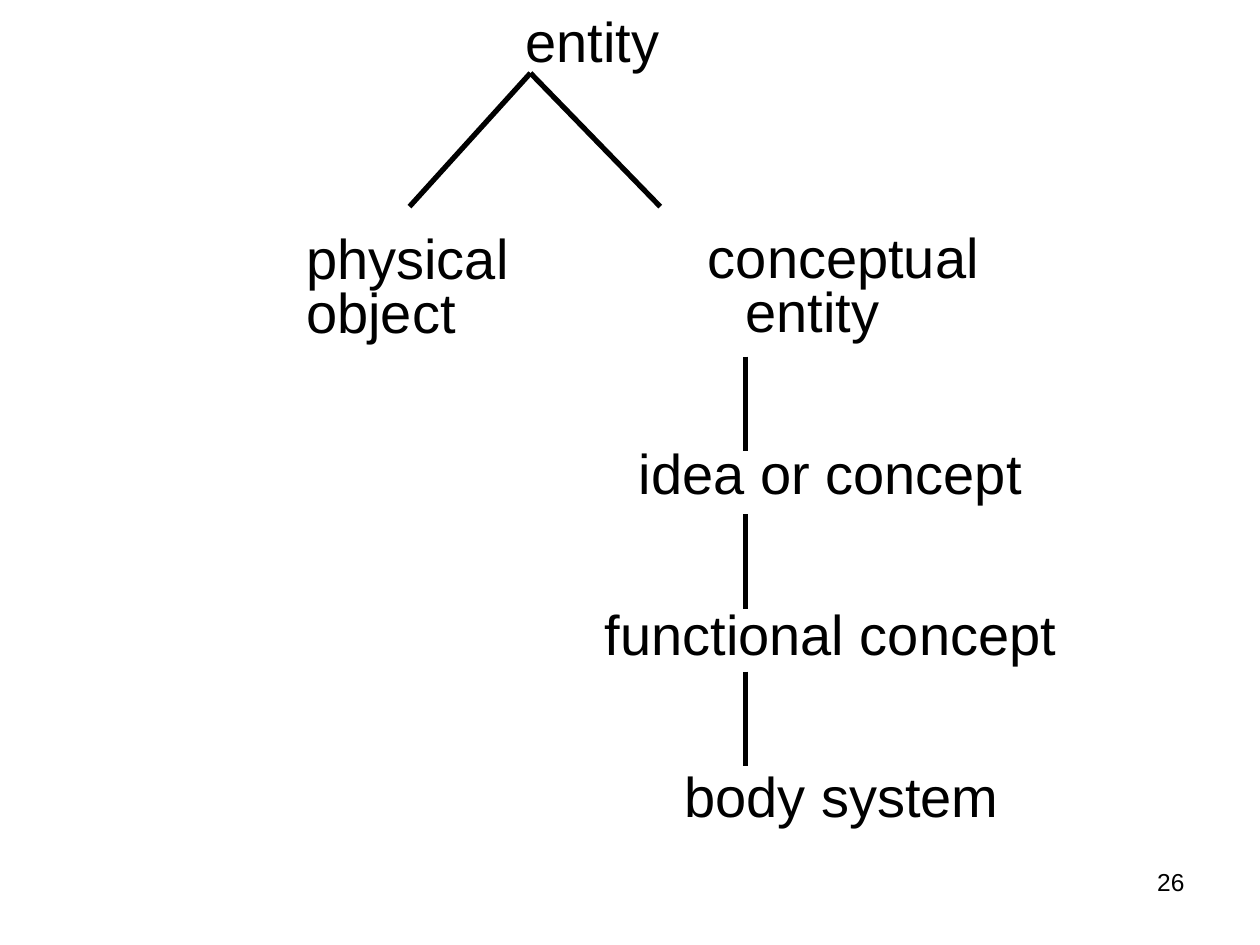
from typing import NamedTuple

from lxml import etree
from pptx import Presentation
from pptx.dml.color import RGBColor
from pptx.enum.shapes import MSO_CONNECTOR
from pptx.enum.text import MSO_ANCHOR, MSO_AUTO_SIZE, PP_ALIGN
from pptx.oxml.ns import qn
from pptx.util import Inches, Pt

STRAIGHT = MSO_CONNECTOR.STRAIGHT
TOP = MSO_ANCHOR.TOP
NO_FIT = MSO_AUTO_SIZE.NONE
LEFT, RIGHT = PP_ALIGN.LEFT, PP_ALIGN.RIGHT
BLACK = "000000"
FONT = "Arial"


class Level(NamedTuple):
    """One line of the tree: text, indent in inches, space before in points."""
    text: str
    indent: float
    gap: float = 0
    lead: float = 0.8


class Edge(NamedTuple):
    x1: float
    y1: float
    x2: float
    y2: float
    width: float


TREE = [
    Level("entity", 3.49, lead=1),
    Level("physical", 1.75, 93),
    Level("object", 1.75),
    Level("idea or concept", 4.39, 61.5),
    Level("functional concept", 4.12, 61.5),
    Level("body system", 4.75, 61.5),
]
BRANCH = [Level("conceptual", 0), Level("entity", 0.3)]
FORK = [Edge(4.21, 0.58, x, 1.64, 3) for x in (5.24, 3.25)]
STEMS = [Edge(5.92, 2.83 + 1.25 * i, 5.92, 3.58 + 1.25 * i, 2.75)
         for i in range(3)]


def color(code: str) -> RGBColor:
    return RGBColor.from_string(code)


def write(para, text: str, *, size: float, align=LEFT, gap: float = 0,
          lead: float = 1, code: str = BLACK) -> None:
    para.alignment = align
    para.space_before = Pt(gap)
    para.line_spacing = lead
    run = para.add_run()
    run.text = text
    run.font.name = FONT
    run.font.size = Pt(size)
    run.font.color.rgb = color(code)


def indent(para, left: float) -> None:
    """Drop the bullet and start the paragraph at the given inset."""
    props = para._p.get_or_add_pPr()
    props.set("marL", str(Inches(left)))
    props.set("indent", "0")
    etree.SubElement(props, qn("a:buNone"))


def place(shape, left: float, top: float, width: float, height: float):
    shape.left, shape.top = Inches(left), Inches(top)
    shape.width, shape.height = Inches(width), Inches(height)
    frame = shape.text_frame
    frame.word_wrap = True
    frame.auto_size = NO_FIT
    frame.vertical_anchor = TOP
    return frame


def fill(frame, levels: list[Level]) -> None:
    for i, level in enumerate(levels):
        para = frame.add_paragraph() if i else frame.paragraphs[0]
        indent(para, level.indent)
        write(para, level.text, size=32, gap=level.gap, lead=level.lead)


def add_edge(slide, edge: Edge) -> None:
    line = slide.shapes.add_connector(
        STRAIGHT, Inches(edge.x1), Inches(edge.y1),
        Inches(edge.x2), Inches(edge.y2))
    line.line.color.rgb = color(BLACK)
    line.line.width = Pt(edge.width)
    etree.SubElement(line._element.spPr, qn("a:effectLst"))


def add_box(slide, left: float, top: float, width: float, height: float):
    box = slide.shapes.add_textbox(0, 0, 0, 0)
    return place(box, left, top, width, height)


def main() -> None:
    deck = Presentation()
    deck.slide_width, deck.slide_height = Inches(10), Inches(7.5)
    slide = deck.slides.add_slide(deck.slide_layouts[1])
    title = slide.shapes.title._element
    title.getparent().remove(title)
    fill(place(slide.placeholders[1], 0.58, 0, 8.83, 6.69), TREE)
    fill(add_box(slide, 5.52, 1.82, 2.6, 1), BRANCH)
    for edge in FORK + STEMS:
        add_edge(slide, edge)
    number = add_box(slide, 7.17, 6.83, 2.33, 0.52)
    write(number.paragraphs[0], "26", size=14, align=RIGHT)
    deck.save("out.pptx")


if __name__ == "__main__":
    main()
